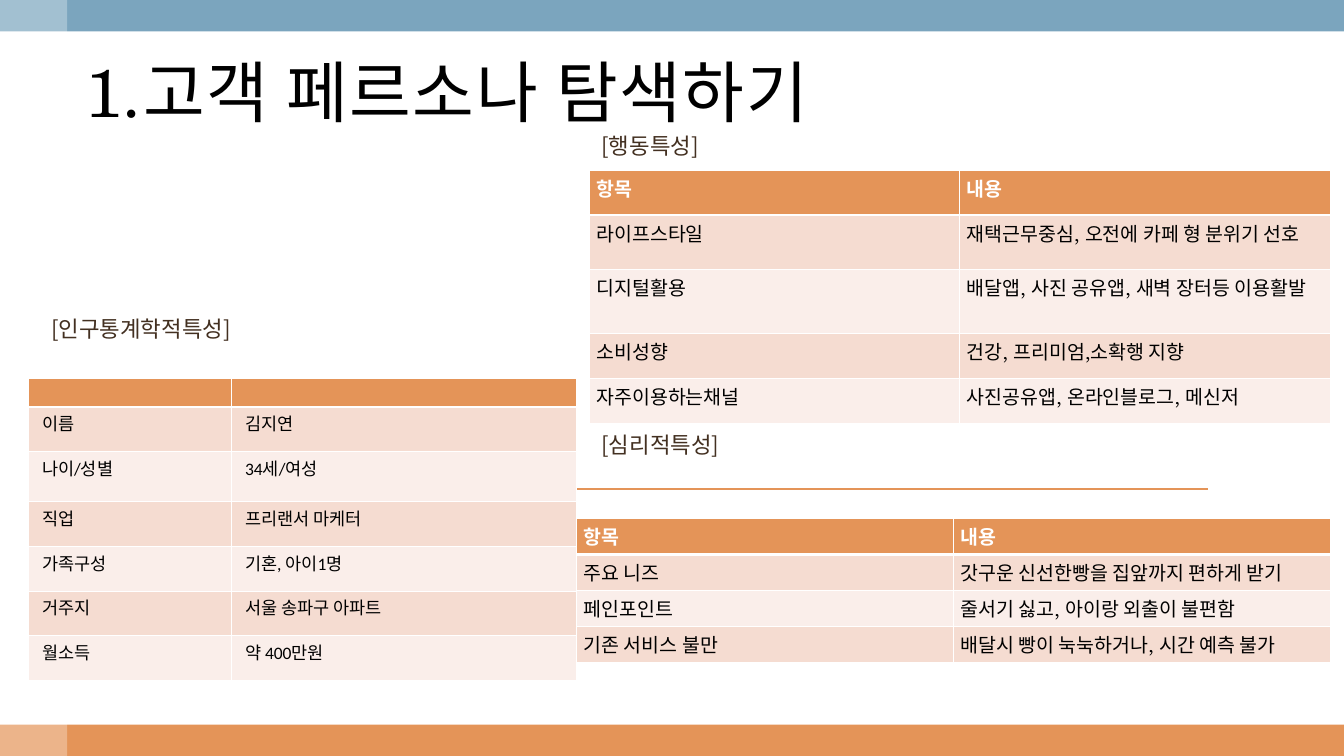
from lxml import etree
from pptx import Presentation
from pptx import util as u
from pptx.dml.color import RGBColor
from pptx.enum import shapes, text
from pptx.oxml import ns

ORANGE = RGBColor(0xE4, 0x94, 0x58)
BLUE = RGBColor(0x7B, 0xA5, 0xBE)
PEACH = RGBColor(0xF5, 0xDC, 0xD1)
PALE = RGBColor(0xFA, 0xEE, 0xEA)
BROWN = RGBColor(0x43, 0x30, 0x21)
WHITE = RGBColor(0xFF, 0xFF, 0xFF)
BLACK = RGBColor(0, 0, 0)

SERIF = "TeX Gyre Schola"
SANS = "Calibri"
KOREAN = "Noto Sans CJK KR"

COLUMNS, ROWS = 192, 108
WIDTH, HEIGHT = u.Inches(19.2), u.Inches(10.8)

DEMOGRAPHICS = [
    ("", ""),
    ("이름", "김지연"),
    ("나이/성별", "34세/여성"),
    ("직업", "프리랜서 마케터"),
    ("가족구성", "기혼, 아이1명"),
    ("거주지", "서울 송파구 아파트"),
    ("월소득", "약 400만원"),
]
BEHAVIOUR = [
    ("항목", "내용"),
    ("라이프스타일", "재택근무중심, 오전에 카페 형 분위기 선호"),
    ("디지털활용", "배달앱, 사진 공유앱, 새벽 장터등 이용활발"),
    ("소비성향", "건강, 프리미엄,소확행 지향"),
    ("자주이용하는채널", "사진공유앱, 온라인블로그, 메신저"),
]
PSYCHOLOGY = [
    ("항목", "내용"),
    ("주요 니즈", "갓구운 신선한빵을 집앞까지 편하게 받기"),
    ("페인포인트", "줄서기 싫고, 아이랑 외출이 불편함"),
    ("기존 서비스 불만", "배달시 빵이 눅눅하거나, 시간 예측 불가"),
]


def across(columns):
    return round(WIDTH * columns / COLUMNS)


def down(rows):
    return round(HEIGHT * rows / ROWS)


def area(left, top, width, height):
    return across(left), down(top), across(width), down(height)


def add_span(para, words, size, font, color, bold=False):
    span = para.add_run()
    span.text = words
    span.font.size = u.Pt(size)
    span.font.name = font
    span.font.bold = bold
    span.font.color.rgb = color
    east = etree.SubElement(span.font._element, ns.qn("a:ea"))
    east.set("typeface", KOREAN)
    return span


def set_frame(frame, anchor):
    frame.word_wrap = True
    frame.auto_size = text.MSO_AUTO_SIZE.NONE
    frame.vertical_anchor = anchor
    frame.margin_left = frame.margin_right = u.Inches(0.17)
    frame.margin_top = frame.margin_bottom = u.Inches(0.09)


def add_bar(page, place, color, opacity=100):
    bar = page.shapes.add_shape(shapes.MSO_SHAPE.RECTANGLE, *area(*place))
    bar.shadow.inherit = False
    bar.line.fill.background()
    bar.fill.solid()
    bar.fill.fore_color.rgb = color
    if opacity < 100:
        tint = bar.fill._xPr.find(".//" + ns.qn("a:srgbClr"))
        etree.SubElement(tint, ns.qn("a:alpha")).set("val", str(opacity * 1000))


def add_rule(page, left, right, top):
    rule = page.shapes.add_connector(
        shapes.MSO_CONNECTOR.STRAIGHT, across(left), down(top), across(right), down(top))
    rule.line.color.rgb = ORANGE
    rule.line.width = u.Pt(2.25)
    etree.SubElement(rule._element.spPr, ns.qn("a:effectLst"))


def set_title(page, words):
    title = page.shapes.title
    title.left, title.top, title.width, title.height = area(10.5, 5.6, 162, 14.8)
    set_frame(title.text_frame, text.MSO_ANCHOR.MIDDLE)
    para = title.text_frame.paragraphs[0]
    para.alignment = text.PP_ALIGN.LEFT
    span = add_span(para, words, 69, SERIF, BLACK)
    span.font._element.set("spc", "170")


def add_heading(page, left, top, words):
    box = page.shapes.add_textbox(*area(left, top, 54.9, 9.3))
    set_frame(box.text_frame, text.MSO_ANCHOR.TOP)
    add_span(box.text_frame.paragraphs[0], words, 23, KOREAN, BROWN)


def add_borders(cell, row):
    props = cell._tc.get_or_add_tcPr()
    widths = {"L": 1, "R": 1, "T": 3 if row == 1 else 1, "B": 3 if row == 0 else 1}
    for side, points in widths.items():
        border = etree.SubElement(props, ns.qn("a:ln" + side))
        border.set("w", str(u.Pt(points)))
        fill = etree.SubElement(border, ns.qn("a:solidFill"))
        etree.SubElement(fill, ns.qn("a:srgbClr")).set("val", str(WHITE))


def add_grid(page, left, top, widths, heights, entries, size, font, inset):
    place = area(left, top, sum(widths), sum(heights))
    grid = page.shapes.add_table(len(entries), len(widths), *place).table
    for column, width in zip(grid.columns, widths):
        column.width = across(width)
    for number, (line, height) in enumerate(zip(entries, heights)):
        grid.rows[number].height = down(height)
        header = number == 0
        for index, words in enumerate(line):
            cell = grid.cell(number, index)
            cell.margin_left = cell.margin_right = u.Inches(inset)
            cell.margin_top = cell.margin_bottom = u.Inches(0.05)
            add_borders(cell, number)
            cell.fill.solid()
            cell.fill.fore_color.rgb = ORANGE if header else (PALE, PEACH)[number % 2]
            if words:
                para = cell.text_frame.paragraphs[0]
                add_span(para, words, size, font, WHITE if header else BLACK, header)


def main():
    deck = Presentation()
    deck.slide_width, deck.slide_height = WIDTH, HEIGHT
    page = deck.slides.add_slide(deck.slide_layouts[5])

    add_bar(page, (0, 103.5, COLUMNS, 4.5), ORANGE)
    add_bar(page, (0, 0, COLUMNS, 4.5), BLUE)
    add_bar(page, (0, 0, 9.6, ROWS), WHITE, opacity=30)
    add_rule(page, 10.5, 172.5, 69.8)

    set_title(page, "1.고객 페르소나 탐색하기")
    add_heading(page, 84.2, 18, "[행동특성]")
    add_heading(page, 5.6, 44.1, "[인구통계학적특성]")
    add_heading(page, 84.2, 60.7, "[심리적특성]")

    add_grid(page, 4, 54.1, [29, 49.4], [4, 6.4, 7.1] + [6.4] * 4,
             DEMOGRAPHICS, 18, SANS, 0.2)
    add_grid(page, 84.2, 24.3, [52.9] * 2, [6.4, 7.8, 9.2, 6.4, 6.4],
             BEHAVIOUR, 20, SERIF, 0.1)
    add_grid(page, 82.4, 74.1, [53.8] * 2, [5.1] * 4,
             PSYCHOLOGY, 20, SERIF, 0.1)

    deck.save("out.pptx")


if __name__ == "__main__":
    main()
